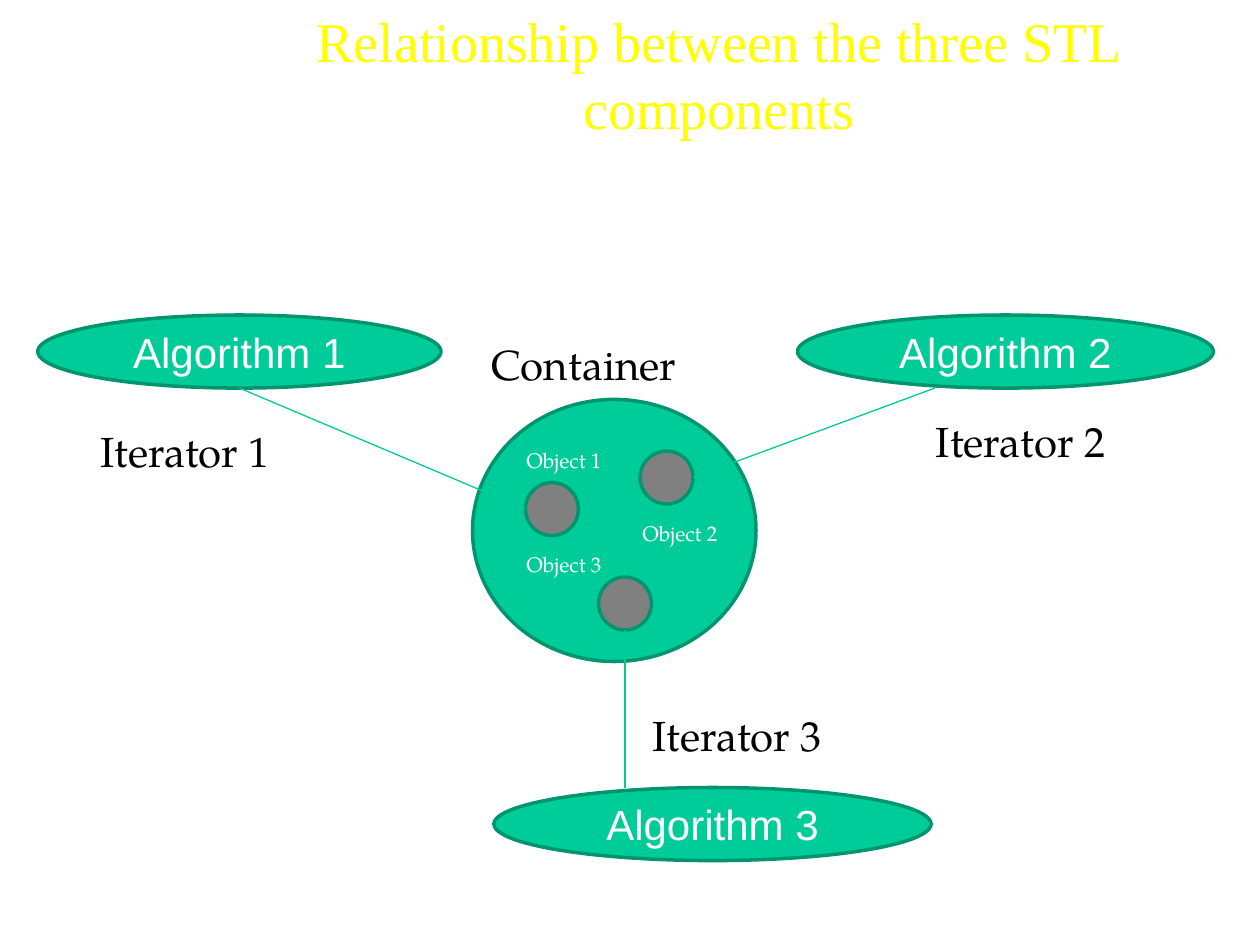
from lxml.etree import SubElement
from pptx import Presentation
from pptx.dml.color import RGBColor
from pptx.enum.shapes import MSO_CONNECTOR, MSO_SHAPE
from pptx.enum.text import MSO_ANCHOR, PP_ALIGN
from pptx.oxml.ns import qn
from pptx.util import Inches, Pt

GREEN, DARK_GREEN, LINE_GREEN = "00CC99", "00956F", "00CC98"
GREY, WHITE, BLACK, YELLOW = "808080", "FFFFFF", "000000", "FFFF00"
SERIF = "TeX Gyre Pagella"


def rgb(color):
    return RGBColor.from_string(color)


def write(tf, text, font, size, color, align=PP_ALIGN.LEFT, anchor=MSO_ANCHOR.TOP):
    tf.word_wrap = True
    tf.vertical_anchor = anchor
    p = tf.paragraphs[0]
    p.alignment = align
    r = p.add_run()
    r.text = text
    r.font.name = font
    r.font.size = Pt(size)
    r.font.color.rgb = rgb(color)


def add_title(s, text):
    sp = s.shapes.title
    sp.left, sp.top = Inches(1.41), Inches(0)
    sp.width, sp.height = Inches(8.59), Inches(1.55)
    write(sp.text_frame, text, "Times New Roman", 32, YELLOW, PP_ALIGN.CENTER)


def add_ellipse(s, x, y, w, h, fill, text=None):
    sp = s.shapes.add_shape(MSO_SHAPE.OVAL, Inches(x), Inches(y), Inches(w), Inches(h))
    sp.shadow.inherit = False
    sp.fill.solid()
    sp.fill.fore_color.rgb = rgb(fill)
    sp.line.color.rgb = rgb(DARK_GREEN)
    sp.line.width = Pt(2)
    if text:
        write(sp.text_frame, text, "Arial", 24, WHITE, PP_ALIGN.CENTER, MSO_ANCHOR.MIDDLE)


def add_arrow(s, x1, y1, x2, y2):
    line = s.shapes.add_connector(
        MSO_CONNECTOR.STRAIGHT, Inches(x1), Inches(y1), Inches(x2), Inches(y2))
    line.line.color.rgb = rgb(LINE_GREEN)
    line.line.width = Pt(0.75)
    SubElement(line.line._get_or_add_ln(), qn("a:tailEnd"), type="arrow")
    SubElement(line._element.spPr, qn("a:effectLst"))


def add_label(s, text, x, y, w, size, color):
    sp = s.shapes.add_textbox(Inches(x), Inches(y), Inches(w), Inches(0.5))
    write(sp.text_frame, text, SERIF, size, color)


def main():
    prs = Presentation()
    prs.slide_width, prs.slide_height = Inches(10), Inches(7.5)
    s = prs.slides.add_slide(prs.slide_layouts[5])

    add_title(s, "Relationship between the three STL components")

    add_ellipse(s, 3.75, 3.17, 2.25, 2.08, GREEN)
    for number, x, y, w in [(1, 0.3, 2.5, 3.2), (3, 3.92, 6.25, 3.47), (2, 6.33, 2.5, 3.3)]:
        add_ellipse(s, x, y, w, 0.58, GREEN, f"Algorithm {number}")
    for x, y in [(5.08, 3.58), (4.75, 4.58), (4.17, 3.83)]:
        add_ellipse(s, x, y, 0.42, 0.42, GREY)

    for ends in [(7.42, 3.08, 5.5, 3.79), (1.9, 3.08, 4.17, 4.04), (4.96, 6.25, 4.96, 5)]:
        add_arrow(s, *ends)

    add_label(s, "Container", 3.8, 2.64, 1.9, 24, BLACK)
    for number, x, y, w in [(1, 0.7, 3.33, 1.88), (3, 5.08, 5.58, 2.17), (2, 7.33, 3.25, 2.14)]:
        add_label(s, f"Iterator {number}", x, y, w, 24, BLACK)
    for number, x, y in [(1, 4.08, 3.5), (2, 5, 4.08), (3, 4.08, 4.33)]:
        add_label(s, f"Object {number}", x, y, 0.83, 12, WHITE)

    prs.save("out.pptx")


if __name__ == "__main__":
    main()
